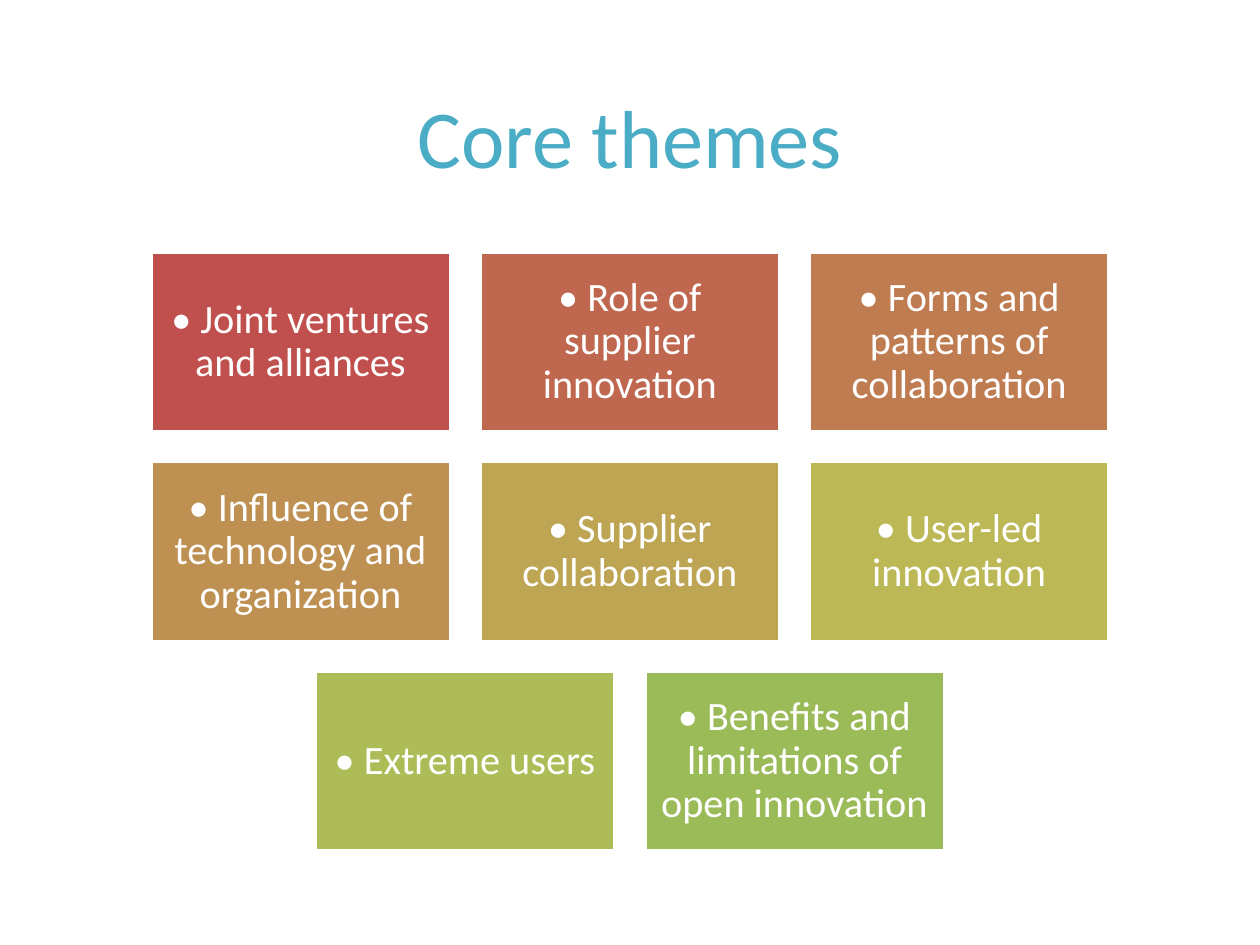
from pptx import Presentation
from pptx.dml.color import RGBColor
from pptx.enum.shapes import MSO_SHAPE
from pptx.enum.text import MSO_ANCHOR, PP_ALIGN
from pptx.util import Pt

COLORS = {
    "title": "4BACC6",
    "white": "FFFFFF",
    "joint": "C0504D",
    "role": "BF674F",
    "forms": "BF7C50",
    "influence": "BE9152",
    "supplier": "BDA554",
    "user": "BCB856",
    "extreme": "AEBC57",
    "benefits": "9BBB59",
}
THEME_ROWS = [
    [("Joint ventures and alliances", "joint"),
     ("Role of supplier innovation", "role"),
     ("Forms and patterns of collaboration", "forms")],
    [("Influence of technology and organization", "influence"),
     ("Supplier collaboration", "supplier"),
     ("User-led innovation", "user")],
    [("Extreme users", "extreme"),
     ("Benefits and limitations of open innovation", "benefits")],
]
SLIDE_WIDTH, SLIDE_HEIGHT = 720, 540
TILE_WIDTH, TILE_HEIGHT, GAP = 171.1, 102.7, 17.1
GRID_TOP = 144


def add_centred_run(frame, text, size, color):
    frame.word_wrap = True
    frame.vertical_anchor = MSO_ANCHOR.MIDDLE
    paragraph = frame.paragraphs[0]
    paragraph.alignment = PP_ALIGN.CENTER
    run = paragraph.add_run()
    run.text = text
    run.font.name = "Calibri"
    run.font.size = Pt(size)
    run.font.color.rgb = RGBColor.from_string(COLORS[color])
    return paragraph


prs = Presentation()
prs.slide_width, prs.slide_height = Pt(SLIDE_WIDTH), Pt(SLIDE_HEIGHT)
slide = prs.slides.add_slide(prs.slide_layouts[5])

title = slide.shapes.title
title.left, title.top = Pt(23), Pt(25.2)
title.width, title.height = Pt(674), Pt(104.4)
add_centred_run(title.text_frame, "Core themes", 47, "title")

for row, themes in enumerate(THEME_ROWS):
    row_width = len(themes) * (TILE_WIDTH + GAP) - GAP
    row_left = (SLIDE_WIDTH - row_width) / 2
    top = GRID_TOP + row * (TILE_HEIGHT + GAP)
    for column, (theme, color) in enumerate(themes):
        left = row_left + column * (TILE_WIDTH + GAP)
        tile = slide.shapes.add_shape(
            MSO_SHAPE.RECTANGLE, Pt(left), Pt(top), Pt(TILE_WIDTH), Pt(TILE_HEIGHT))
        tile.shadow.inherit = False
        tile.fill.solid()
        tile.fill.fore_color.rgb = RGBColor.from_string(COLORS[color])
        tile.line.color.rgb = RGBColor.from_string(COLORS["white"])
        tile.line.width = Pt(2)
        frame = tile.text_frame
        frame.margin_left = frame.margin_right = Pt(7)
        frame.margin_top = frame.margin_bottom = Pt(7)
        paragraph = add_centred_run(frame, f"• {theme}", 23, "white")
        paragraph.line_spacing = 0.9

prs.save("out.pptx")
